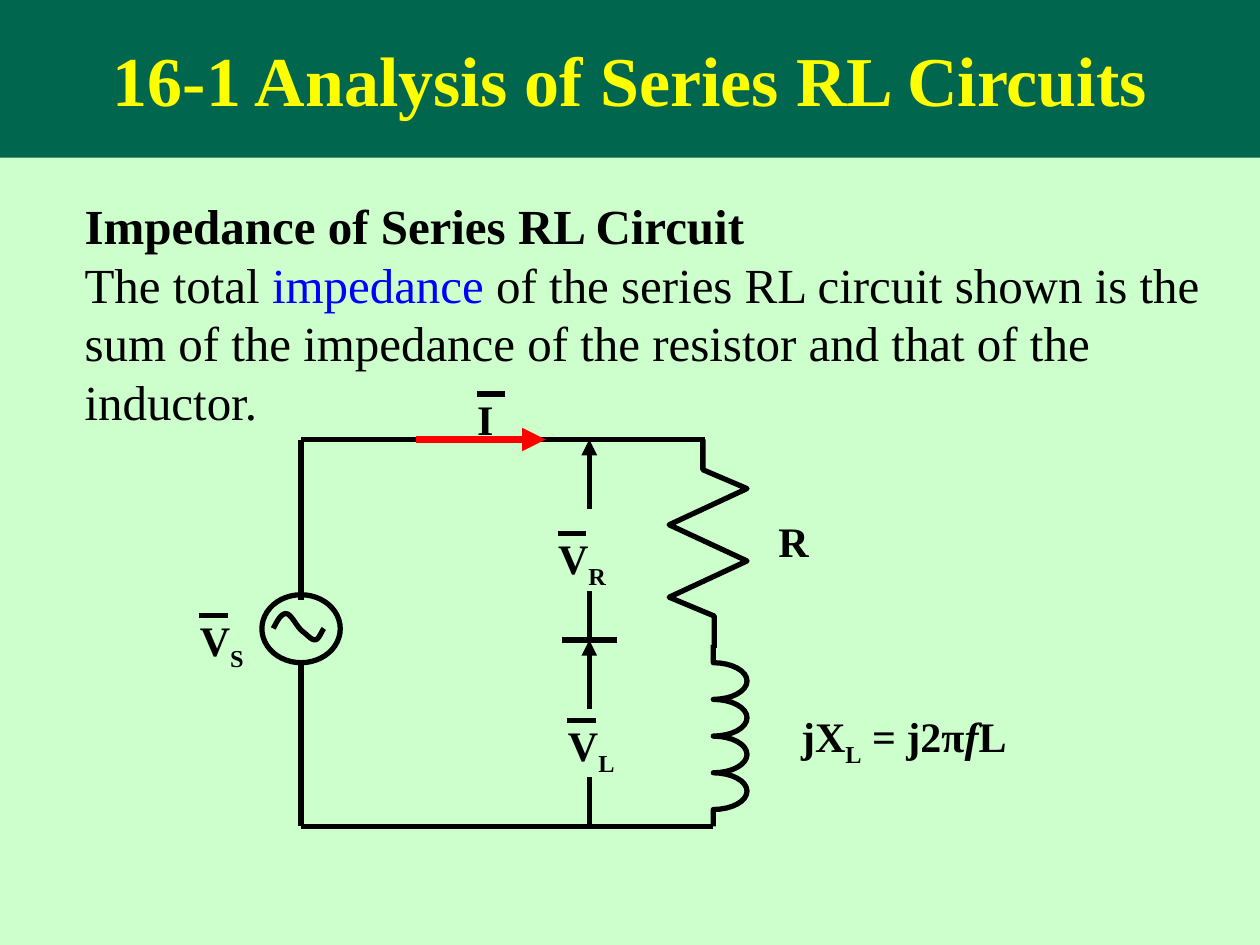
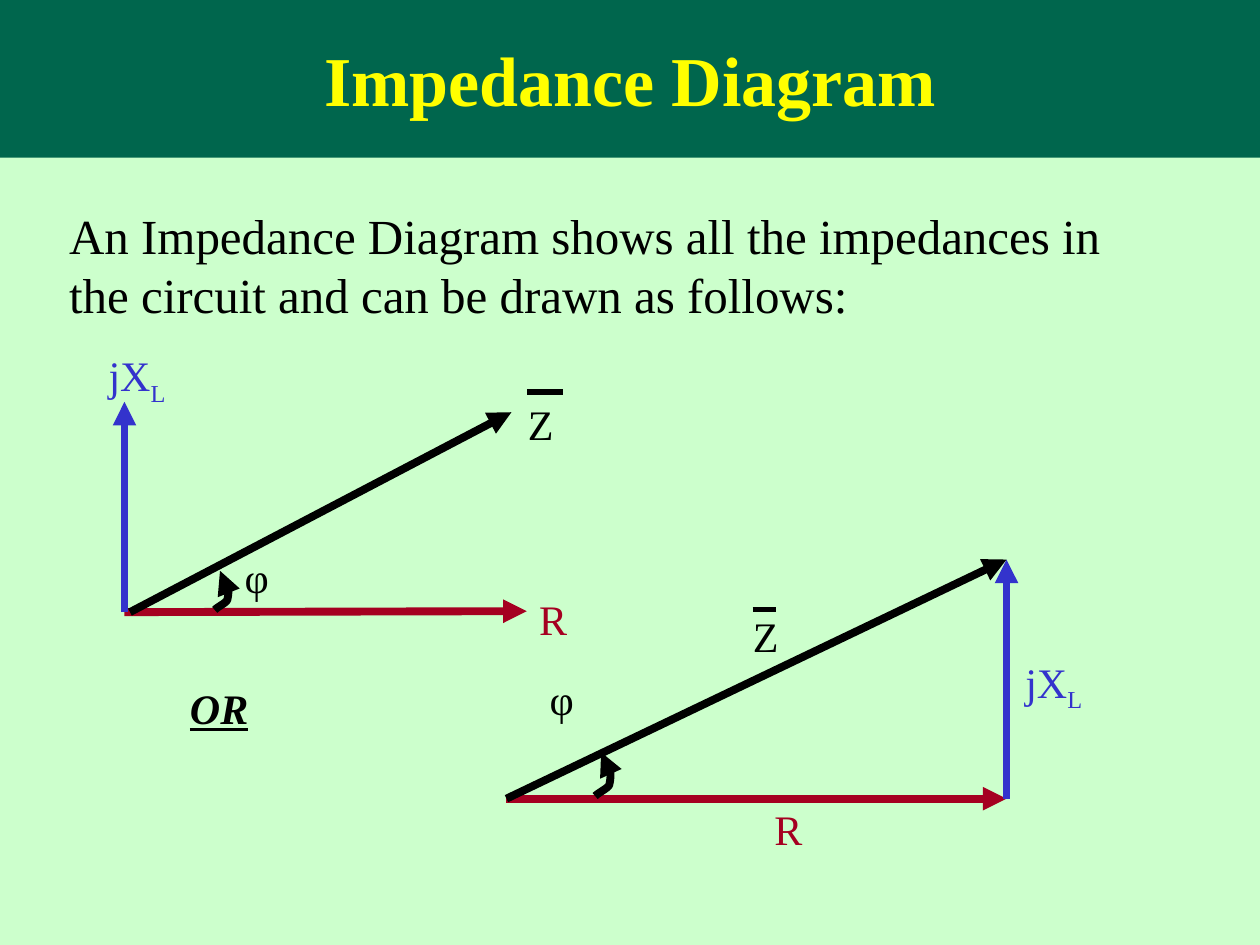
import math
from dataclasses import dataclass

import pptx
import pptx.dml.color
import pptx.enum.shapes
import pptx.enum.text
import pptx.oxml.ns
import pptx.util
from lxml import etree

Cm = pptx.util.Cm
Pt = pptx.util.Pt
qn = pptx.oxml.ns.qn


def rgb(value):
    return pptx.dml.color.RGBColor.from_string(value)


@dataclass(frozen=True)
class Theme:
    font = "Times New Roman"
    background = rgb("CCFFCC")
    band = rgb("00664D")
    title = rgb("FFFF00")
    ink = rgb("000000")
    keyword = rgb("0000FF")
    current = rgb("FF0000")
    resistance = rgb("A50021")
    reactance = rgb("3333CC")
    title_size = Pt(40)
    body_size = Pt(28)
    label_size = Pt(24)
    wire = Pt(3)
    vector = Pt(4.5)


def bezier(controls, steps=8):
    """Sample a chain of cubic curves given as start, then three points per curve."""
    points = [controls[0]]
    for first in range(0, len(controls) - 1, 3):
        curve = controls[first:first + 4]
        for step in range(1, steps + 1):
            t = step / steps
            weights = ((1 - t) ** 3, 3 * t * (1 - t) ** 2, 3 * t * t * (1 - t), t ** 3)
            points.append(tuple(sum(weight * point[axis] for weight, point in zip(weights, curve))
                                for axis in (0, 1)))
    return points


class Deck:
    def __init__(self, theme):
        self.theme = theme
        self.slide = None
        self.presentation = pptx.Presentation()
        self.presentation.slide_width = Cm(25.4)
        self.presentation.slide_height = Cm(19.05)
        fill = self.presentation.slide_master.background.fill
        fill.solid()
        fill.fore_color.rgb = theme.background

    def start(self, title):
        layout = self.presentation.slide_layouts[1]
        self.slide = self.presentation.slides.add_slide(layout)
        shape = self.slide.shapes.title
        self.place(shape, 0, 0, 25.4, 3.18)
        shape.fill.solid()
        shape.fill.fore_color.rgb = self.theme.band
        frame = shape.text_frame
        frame.text = title
        frame.auto_size = pptx.enum.text.MSO_AUTO_SIZE.NONE
        frame.vertical_anchor = pptx.enum.text.MSO_ANCHOR.MIDDLE
        frame.paragraphs[0].alignment = pptx.enum.text.PP_ALIGN.CENTER
        self.style(frame.paragraphs[0].runs[0], self.theme.title_size, self.theme.title, "bold")

    def place(self, shape, left, top, width, height):
        shape.left, shape.top = Cm(left), Cm(top)
        shape.width, shape.height = Cm(width), Cm(height)

    def style(self, run, size, color, marks=""):
        """Format a run; marks may name bold, italic, underline and sub."""
        font = run.font
        font.name, font.size, font.color.rgb = self.theme.font, size, color
        font.bold = "bold" in marks
        font.italic = "italic" in marks
        font.underline = "underline" in marks
        if "sub" in marks:
            run._r.get_or_add_rPr().set("baseline", "-25000")

    def add_runs(self, paragraph, runs, size, color, shared_marks=""):
        for text, marks in runs:
            run = paragraph.add_run()
            run.text = text
            run_color = self.theme.keyword if "keyword" in marks else color
            self.style(run, size, run_color, marks + " " + shared_marks)

    def body(self, left, top, width, height, paragraphs):
        shape = self.slide.placeholders[1]
        self.place(shape, left, top, width, height)
        frame = shape.text_frame
        frame.auto_size = pptx.enum.text.MSO_AUTO_SIZE.NONE
        for index, runs in enumerate(paragraphs):
            paragraph = frame.add_paragraph() if index else frame.paragraphs[0]
            paragraph.space_before = Pt(0)
            properties = paragraph._p.get_or_add_pPr()
            properties.set("marL", "0")
            properties.set("indent", "0")
            etree.SubElement(properties, qn("a:buNone"))
            self.add_runs(paragraph, runs, self.theme.body_size, self.theme.ink)

    def label(self, left, top, width, runs, color=None, marks=""):
        box = self.slide.shapes.add_textbox(Cm(left), Cm(top), Cm(width), Cm(1.27))
        box.text_frame.word_wrap = True
        self.add_runs(box.text_frame.paragraphs[0], runs, self.theme.label_size,
                      color or self.theme.ink, marks)

    def phasor(self, left, top, runs, marks="", bar_drop=0.14, bar_width=0.58):
        """A label with a bar over its first letter."""
        self.label(left, top, 1.7, runs, marks=marks)
        bar_left, bar_top = left + 0.24, top + bar_drop
        self.line((bar_left, bar_top), (bar_left + bar_width, bar_top))

    def stroke(self, shape, color, width, arrow=None):
        shape.line.color.rgb = color or self.theme.ink
        shape.line.width = width or self.theme.wire
        if arrow:
            outline = shape._element.spPr.get_or_add_ln()
            etree.SubElement(outline, qn(arrow), type="triangle")

    def line(self, start, end, color=None, width=None, arrow=None):
        connector = self.slide.shapes.add_connector(
            pptx.enum.shapes.MSO_CONNECTOR.STRAIGHT,
            Cm(start[0]), Cm(start[1]), Cm(end[0]), Cm(end[1]))
        self.stroke(connector, color, width, arrow)
        etree.SubElement(connector._element.spPr, qn("a:effectLst"))

    def arrow(self, start, end, color=None, width=None):
        self.line(start, end, color, width, "a:tailEnd")

    def vector(self, start, end, color=None):
        self.arrow(start, end, color, self.theme.vector)

    def outline(self, points, width=None, arrow=None):
        points = [(Cm(x), Cm(y)) for x, y in points]
        builder = self.slide.shapes.build_freeform(*points[0])
        builder.add_line_segments(points[1:], close=False)
        shape = builder.convert_to_shape()
        shape.fill.background()
        shape.shadow.inherit = False
        self.stroke(shape, None, width, arrow)
        return shape

    def ellipse(self, left, top, width, height):
        shape = self.slide.shapes.add_shape(
            pptx.enum.shapes.MSO_SHAPE.OVAL, Cm(left), Cm(top), Cm(width), Cm(height))
        shape.fill.background()
        shape.shadow.inherit = False
        self.stroke(shape, None, None)

    def angle_arc(self, left, top, scale=1.0):
        offsets = [(0, 0), (0.08, 0.05), (0.16, 0.13), (0.21, 0.2), (0.26, 0.31),
                   (0.28, 0.43), (0.28, 0.54), (0.26, 0.61), (0.13, 0.71), (0.08, 0.79)]
        controls = [(left + scale * x, top + scale * y) for x, y in offsets]
        shape = self.outline(bezier(controls), self.theme.vector, "a:headEnd")
        shape.rotation = 13.5


def draw_source(deck, left_wire, top_wire, bottom_wire):
    deck.line((left_wire, top_wire), (left_wire, 12.09))
    deck.line((left_wire, 13.36), (left_wire, bottom_wire))
    deck.ellipse(5.28, 11.99, 1.58, 1.37)
    deck.outline(bezier([
        (5.51, 12.67), (5.59, 12.52), (5.66, 12.37), (5.77, 12.37), (5.87, 12.37),
        (5.99, 12.65), (6.1, 12.73), (6.2, 12.8), (6.27, 12.9), (6.35, 12.9),
        (6.43, 12.9), (6.48, 12.73), (6.53, 12.67)]))


def draw_resistor(deck, top_wire):
    peaks = [((15.06, 13.49)[index % 2], 9.85 + 0.73 * index) for index in range(4)]
    deck.outline([(14.17, top_wire), (14.17, 9.47), *peaks, (14.4, 12.42), (14.4, 13.06)])


def draw_inductor(deck, bottom_wire):
    center, top, pitch, reach, turns, steps = 14.38, 13.36, 0.74, 0.68, 4, 16
    points = [(center, 13)]
    for turn in range(turns):
        for step in range(steps + 1):
            angle = math.pi * step / steps
            points.append((center + reach * math.sin(angle),
                           top + pitch * (turn + 0.5 - math.cos(angle) / 2)))
    deck.outline(points + [(center, bottom_wire)])


def build_circuit(deck):
    deck.start("16-1 Analysis of Series RL Circuits")
    deck.body(1.45, 3.81, 23.1, 5.05, [
        [("Impedance of Series RL Circuit", "bold")],
        [("The total ", ""), ("impedance ", "keyword"),
         ("of the series RL circuit shown is the sum of the impedance of the resistor "
          "and that of the inductor.", "")]])
    left_wire, top_wire, bottom_wire = 6.07, 8.86, 16.66
    draw_source(deck, left_wire, top_wire, bottom_wire)
    draw_resistor(deck, top_wire)
    draw_inductor(deck, bottom_wire)
    deck.line((left_wire, top_wire), (14.22, top_wire))
    deck.line((left_wire, bottom_wire), (14.38, bottom_wire))
    deck.vector((8.38, top_wire), (11, top_wire), deck.theme.current)

    probe, middle = 11.88, 12.9
    deck.line((11.33, middle), (12.43, middle))
    for arrow_start, arrow_end, tail_start, tail_end in (
            (10.26, top_wire, 11.91, middle), (14.3, middle, 15.67, bottom_wire)):
        deck.arrow((probe, arrow_start), (probe, arrow_end))
        deck.line((probe, tail_start), (probe, tail_end))

    deck.phasor(9.37, 7.8, [("I", "")], "bold")
    for left, top, subscript in ((11, 10.62, "R"), (11.2, 14.38, "L"), (3.78, 12.27, "S")):
        deck.phasor(left, top, [("V", ""), (subscript, "sub")], "bold")
    deck.label(15.44, 10.26, 1.25, [("R", "")], marks="bold")
    deck.label(15.9, 14.2, 5.97, [("jX", ""), ("L", "sub"), (" = j2π", ""),
                                  ("f", "italic"), ("L", "")], marks="bold")


def build_impedance_diagram(deck):
    theme = deck.theme
    reactance = [("jX", ""), ("L", "sub")]
    deck.start("Impedance Diagram")
    deck.body(1.14, 4.01, 22.63, 2.64, [
        [("An Impedance Diagram shows all the impedances in the circuit "
          "and can be drawn as follows:", "")]])
    deck.label(3.58, 13.64, 1.75, [("OR", "bold italic underline")])

    origin = (2.51, 12.34)
    deck.vector(origin, (10.62, 12.32), theme.resistance)
    deck.vector(origin, (2.51, 8.1), theme.reactance)
    deck.vector((2.62, 12.34), (10.31, 8.31))
    deck.angle_arc(4.34, 11.53)
    deck.label(10.62, 11.84, 1.45, [("R", "")], theme.resistance)
    deck.label(1.94, 6.93, 2.18, reactance, theme.reactance)
    deck.label(4.68, 11, 1.2, [("φ", "")])
    deck.phasor(10.39, 7.9, [("Z", "")], bar_drop=0, bar_width=0.71)

    origin, corner, tip = (10.21, 16.1), (20.29, 16.1), (20.29, 11.28)
    deck.vector(origin, corner, theme.resistance)
    deck.vector(corner, tip, theme.reactance)
    deck.vector(origin, tip)
    deck.angle_arc(12.01, 15.19, 1.12)
    deck.label(15.36, 16.08, 1.45, [("R", "")], theme.resistance)
    deck.label(20.42, 13.1, 2.18, reactance, theme.reactance)
    deck.label(10.83, 13.46, 1.2, [("φ", "")])
    deck.phasor(14.93, 12.19, [("Z", "")], bar_drop=0.1, bar_width=0.48)


def main():
    deck = Deck(Theme())
    build_circuit(deck)
    build_impedance_diagram(deck)
    deck.presentation.save("out.pptx")


if __name__ == "__main__":
    main()
